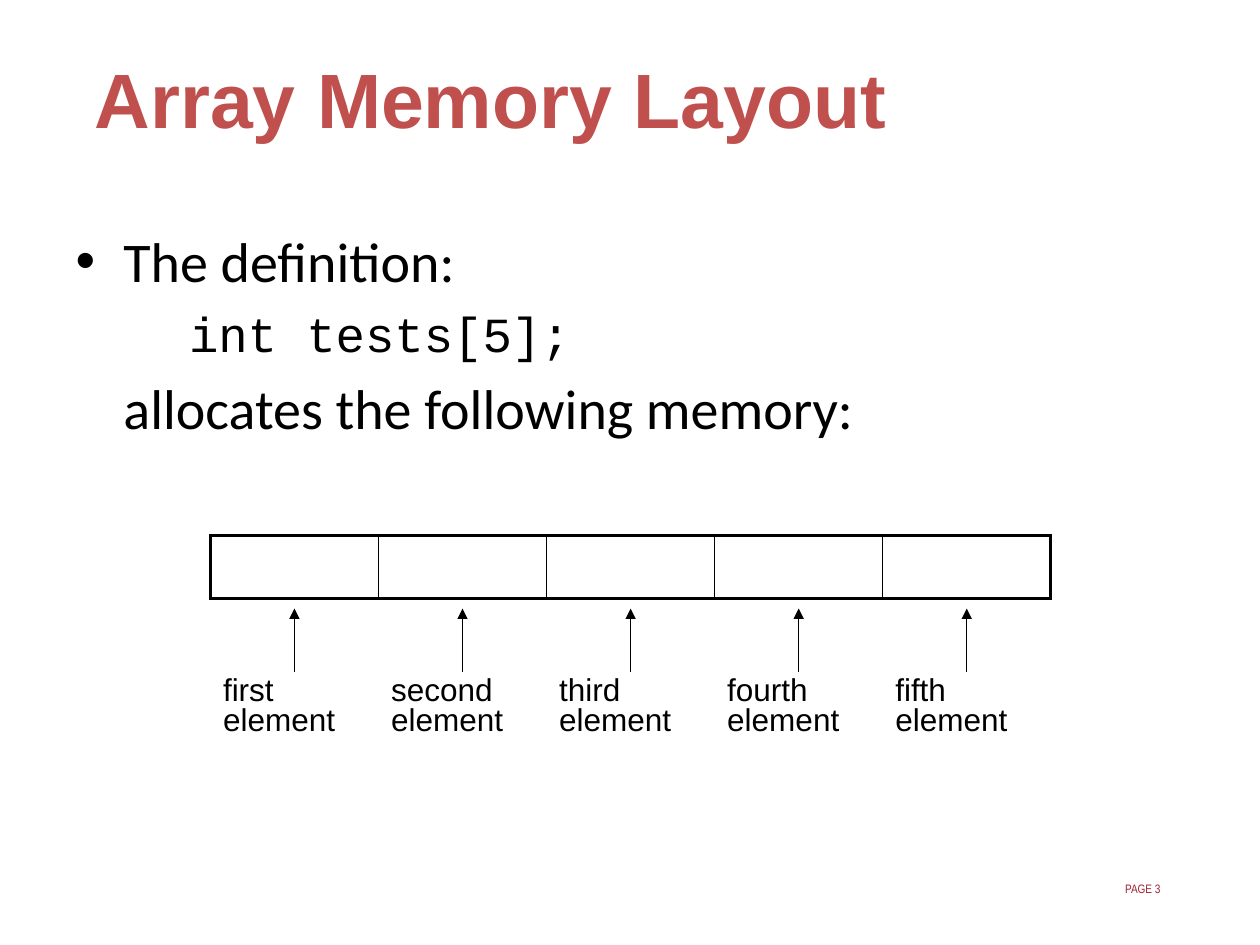
from dataclasses import dataclass

from lxml import etree
from pptx import Presentation
from pptx import util as u
from pptx.dml.color import RGBColor
from pptx.enum import shapes, text
from pptx.oxml import ns


@dataclass(frozen=True)
class Theme:
    ink: RGBColor = RGBColor(0x00, 0x00, 0x00)
    title_red: RGBColor = RGBColor(0xC0, 0x50, 0x4D)
    page_red: RGBColor = RGBColor(0x9D, 0x22, 0x35)
    title_size: int = 44
    body_size: int = 32
    code_size: int = 28
    label_size: int = 18
    page_size: int = 7
    outer_line: float = 2.25
    inner_line: float = 1
    arrow_line: float = 0.75


THEME = Theme()
ORDINALS = ["first", "second", "third", "fourth", "fifth"]


def place(part, box):
    part.left, part.top, part.width, part.height = map(u.Inches, box)


def style(paragraph, font_name, size, color=THEME.ink, bold=False):
    for run in paragraph.runs:
        run.font.name = font_name
        run.font.size = u.Pt(size)
        run.font.color.rgb = color
        run.font.bold = bold


def set_indent(paragraph, margin, first_line, bullet=None):
    props = paragraph._p.get_or_add_pPr()
    props.set("marL", str(u.Inches(margin)))
    props.set("indent", str(u.Inches(first_line)))
    if bullet:
        etree.SubElement(props, ns.qn("a:buChar")).set("char", bullet)
    else:
        etree.SubElement(props, ns.qn("a:buNone"))


def set_borders(cell, **widths):
    """Draw the sides L, R, T and B at a width in points; a missing side has no line."""
    props = cell._tc.get_or_add_tcPr()
    for index, side in enumerate("LRTB"):
        line = etree.Element(ns.qn(f"a:ln{side}"))
        props.insert(index, line)
        if side in widths:
            line.set("w", str(u.Pt(widths[side])))
            fill = etree.SubElement(line, ns.qn("a:solidFill"))
            etree.SubElement(fill, ns.qn("a:srgbClr")).set("val", str(THEME.ink))
        else:
            line.set("w", "0")
            etree.SubElement(line, ns.qn("a:noFill"))


def add_title(slide, box):
    title = slide.shapes.title
    place(title, box)
    frame = title.text_frame
    frame.text = "Array Memory Layout"
    frame.vertical_anchor = text.MSO_ANCHOR.MIDDLE
    frame.paragraphs[0].alignment = text.PP_ALIGN.CENTER
    style(frame.paragraphs[0], "Arial", THEME.title_size, THEME.title_red, bold=True)


def add_definition(slide, box):
    body = slide.placeholders[1]
    place(body, box)
    frame = body.text_frame
    frame.text = "The definition:\nint tests[5];\nallocates the following memory:"
    frame.auto_size = text.MSO_AUTO_SIZE.NONE
    definition, code, result = frame.paragraphs

    code.level = 1
    set_indent(definition, 0.38, -0.38, bullet="•")
    set_indent(code, 0.9, 0)
    set_indent(result, 0.38, 0)
    definition.space_before = u.Pt(0)

    style(definition, "Calibri", THEME.body_size)
    style(code, "Courier New", THEME.code_size)
    style(result, "Calibri", THEME.body_size)


def add_row(slide, box):
    """Add a plain one-row table with a column for each element."""
    row = slide.shapes.add_table(1, len(ORDINALS), *map(u.Inches, box)).table
    row.first_row = row.horz_banding = False
    for cell in row.iter_cells():
        cell.fill.background()
    return row


def add_memory(slide, box):
    memory = add_row(slide, box)
    last = len(ORDINALS) - 1
    for index, cell in enumerate(memory.iter_cells()):
        set_borders(
            cell,
            L=THEME.outer_line if index == 0 else THEME.inner_line,
            R=THEME.outer_line if index == last else THEME.inner_line,
            T=THEME.outer_line,
            B=THEME.outer_line,
        )


def add_labels(slide, box):
    labels = add_row(slide, box)
    for ordinal, cell in zip(ORDINALS, labels.iter_cells()):
        set_borders(cell)
        cell.text_frame.text = f"{ordinal} element"
        label = cell.text_frame.paragraphs[0]
        label.line_spacing = 0.85
        style(label, "Arial", THEME.label_size)


def add_arrows(slide, box):
    """Point up at the middle of each memory cell."""
    left, top, width, height = box
    step = width / len(ORDINALS)
    for index in range(len(ORDINALS)):
        x = u.Inches(left + (index + 0.5) * step)
        arrow = slide.shapes.add_connector(
            shapes.MSO_CONNECTOR.STRAIGHT, x, u.Inches(top + height), x, u.Inches(top)
        )
        arrow.line.color.rgb = THEME.ink
        arrow.line.width = u.Pt(THEME.arrow_line)
        line = arrow.line._get_or_add_ln()
        etree.SubElement(line, ns.qn("a:tailEnd")).set("type", "triangle")
        etree.SubElement(arrow._element.spPr, ns.qn("a:effectLst"))


def add_page_number(slide, box):
    frame = slide.shapes.add_textbox(*map(u.Inches, box)).text_frame
    frame.word_wrap = True
    frame.margin_left = frame.margin_right = frame.margin_top = frame.margin_bottom = 0
    frame.text = "PAGE 3"
    frame.paragraphs[0].alignment = text.PP_ALIGN.RIGHT
    style(frame.paragraphs[0], "Arial Narrow", THEME.page_size, THEME.page_red)


def main():
    deck = Presentation()
    deck.slide_width, deck.slide_height = u.Inches(10), u.Inches(7.5)
    slide = deck.slides.add_slide(deck.slide_layouts[1])

    # Heading and text
    add_title(slide, (0, 0, 7.79, 1.55))
    add_page_number(slide, (7.03, 6.99, 2.18, 0.12))
    add_definition(slide, (0.5, 1.75, 9, 4.95))

    # Memory diagram: cells, labels and arrows share the same columns
    left, width = 1.67, 6.67
    add_memory(slide, (left, 4.25, width, 0.5))
    add_labels(slide, (left, 5.33, width, 0.92))
    add_arrows(slide, (left, 4.83, width, 0.5))

    deck.save("out.pptx")


if __name__ == "__main__":
    main()
